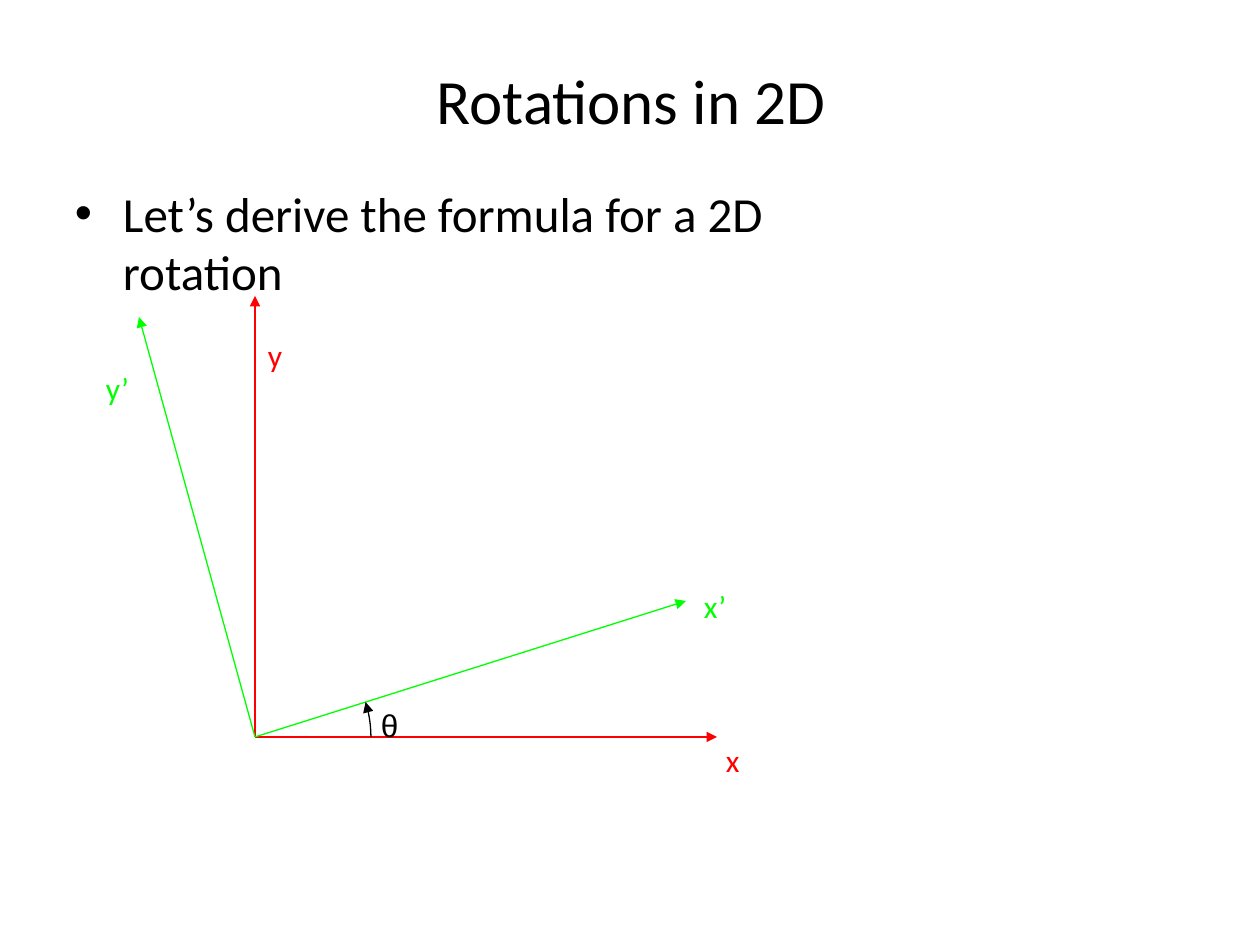
import math

import lxml.etree
import pptx
import pptx.dml.color
import pptx.enum.shapes
import pptx.enum.text
import pptx.oxml
import pptx.oxml.ns
import pptx.util

PX = 914400 / 126
COLORS = {"text": "000000", "fixed": "FF0000", "rotated": "00FF00"}
qn = pptx.oxml.ns.qn


def emu(px):
    return pptx.util.Emu(round(px * PX))


def rgb(name):
    return pptx.dml.color.RGBColor.from_string(COLORS[name])


def add_text(page, box, text, size, color="text", font="Calibri"):
    frame = page.shapes.add_textbox(*map(emu, box)).text_frame
    frame.margin_left = frame.margin_right = 0
    frame.margin_top = frame.margin_bottom = 0
    frame.word_wrap = True
    frame.text = text
    para = frame.paragraphs[0]
    span = para.runs[0]
    span.font.size = pptx.util.Pt(size)
    span.font.name = font
    span.font.color.rgb = rgb(color)
    return para


def style_arrow(shape, color):
    shape.line.color.rgb = rgb(color)
    shape.line.width = pptx.util.Pt(0.75)
    line = shape.line._get_or_add_ln()
    lxml.etree.SubElement(line, qn("a:tailEnd"), type="triangle", w="med", len="med")


def add_title(page, box):
    para = add_text(page, box, "Rotations in 2D", 36)
    para.alignment = pptx.enum.text.PP_ALIGN.CENTER


def add_bullet(page, box):
    para = add_text(page, box, "Let’s derive the formula for a 2D rotation", 28)
    properties = para._p.get_or_add_pPr()
    properties.set("marL", str(emu(49)))
    properties.set("indent", str(-emu(48)))
    lxml.etree.SubElement(properties, qn("a:buFont"), typeface="Arial")
    lxml.etree.SubElement(properties, qn("a:buChar"), char="•")


def add_axis(page, start, tip, color):
    axis = page.shapes.add_connector(
        pptx.enum.shapes.MSO_CONNECTOR.STRAIGHT, *map(emu, start + tip)
    )
    style_arrow(axis, color)
    lxml.etree.SubElement(axis._element.spPr, qn("a:effectLst"))


def add_angle(page, origin, radius, angle):
    steps = 6
    points = [
        (
            emu(origin[0] + radius * math.cos(angle * step / steps)),
            emu(origin[1] - radius * math.sin(angle * step / steps)),
        )
        for step in range(steps + 1)
    ]
    builder = page.shapes.build_freeform(*points[0])
    builder.add_line_segments(points[1:], close=False)
    arc = builder.convert_to_shape()
    arc.fill.background()
    style_arrow(arc, "text")
    arc.shadow.inherit = False


def add_axes(page, box):
    left, top, width, height = box
    origin = (left + 149, top + height)
    axes = [
        ("y", (149, 0), (162, 40), "fixed"),
        ("x", (width, height), (620, 445), "fixed"),
        ("x’", (580, 305), (598, 291), "rotated"),
        ("y’", (33, 21), (0, 73), "rotated"),
    ]
    for name, tip, label, color in axes:
        add_axis(page, origin, (left + tip[0], top + tip[1]), color)
        add_text(page, (left + label[0], top + label[1], 40, 38), name, 18, color)
    add_angle(page, origin, 116, math.atan2(136, 431))
    add_text(page, (left + 275, top + 410, 30, 38), "θ", 18, font="Arial")


def main():
    deck = pptx.Presentation()
    deck.slide_width, deck.slide_height = emu(1260), emu(945)
    page = deck.slides.add_slide(deck.slide_layouts[6])
    add_title(page, (174, 62, 914, 77))
    add_axes(page, (106, 296, 611, 441))
    add_bullet(page, (74, 183, 820, 120))
    deck.save("out.pptx")


if __name__ == "__main__":
    main()
